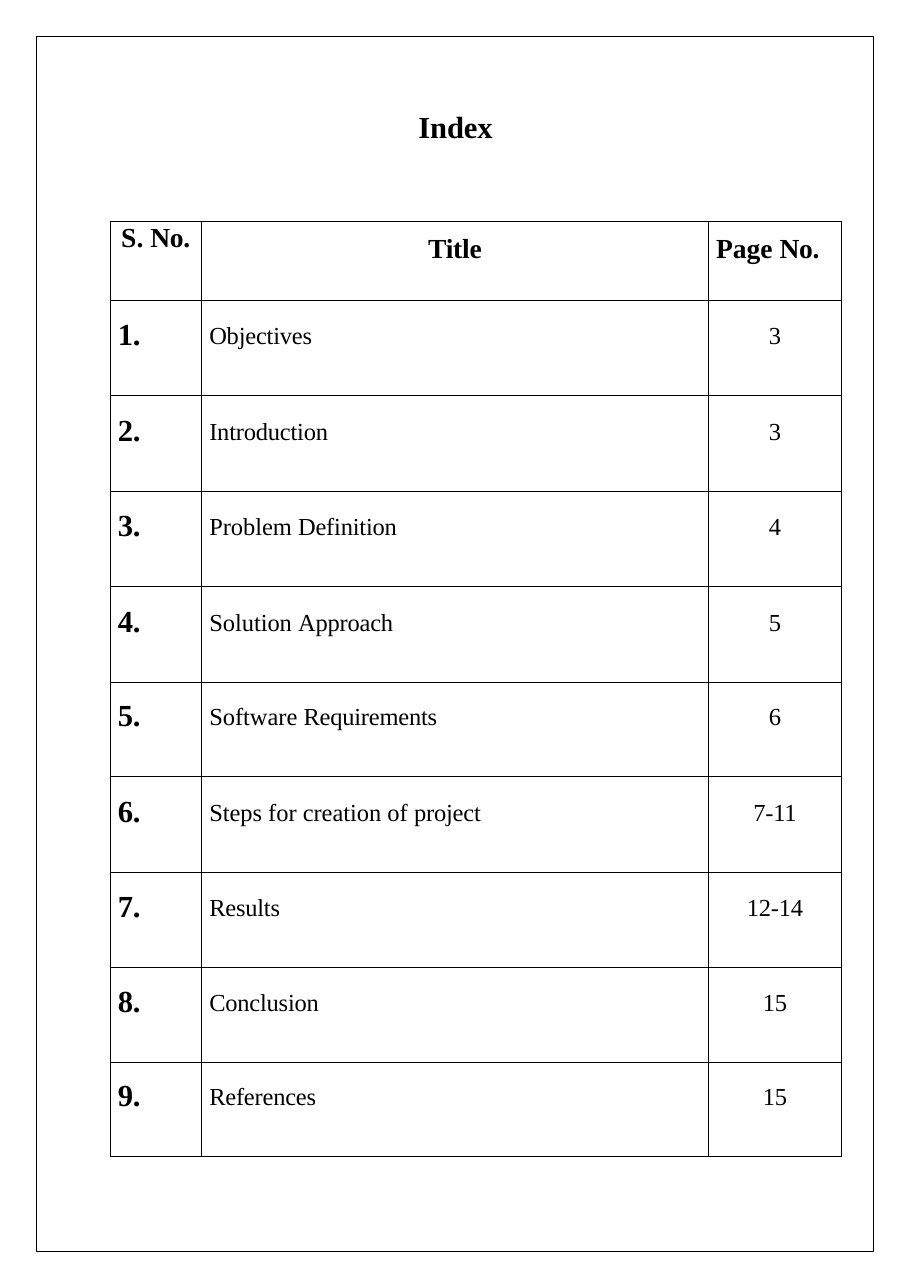
from dataclasses import dataclass

from lxml import etree
from pptx import Presentation
from pptx.dml.color import RGBColor
from pptx.enum.shapes import MSO_SHAPE
from pptx.enum.text import MSO_ANCHOR, MSO_AUTO_SIZE, PP_ALIGN
from pptx.oxml.ns import qn
from pptx.util import Inches, Pt

LEFT, CENTER = PP_ALIGN.LEFT, PP_ALIGN.CENTER
TOP = MSO_ANCHOR.TOP
RECTANGLE = MSO_SHAPE.RECTANGLE
NO_AUTOFIT = MSO_AUTO_SIZE.NONE

FONT = "Times New Roman"
INK = "000000"
LINE_WIDTH = Pt(0.5)
COLUMN_WIDTHS = (0.83, 4.6, 1.21)
HEADER_HEIGHT = 0.72
INDENT = 0.07


@dataclass
class Entry:
    title: str
    pages: str
    height: float = 0.86


ENTRIES = [
    Entry("Objectives", "3"),
    Entry("Introduction", "3", 0.87),
    Entry("Problem Definition", "4"),
    Entry("Solution Approach", "5", 0.87),
    Entry("Software Requirements", "6"),
    Entry("Steps for creation of project", "7-11", 0.87),
    Entry("Results", "12-14"),
    Entry("Conclusion", "15"),
    Entry("References", "15"),
]


def colour(value: str) -> RGBColor:
    return RGBColor.from_string(value)


def write(frame, text: str, *, size: float, bold: bool = False,
          align=LEFT, spacing: float = -0.1, line_height=None) -> None:
    """Write one paragraph whose last word is set with tighter letter spacing."""
    para = frame.paragraphs[0]
    para.alignment = align
    if line_height:
        para.line_spacing = Pt(line_height)
    lead, gap, last = text.rpartition(" ")
    for words, points in ((lead + gap, 0), (last, spacing)):
        if not words:
            continue
        span = para.add_run()
        span.text = words
        span.font.name = FONT
        span.font.size = Pt(size)
        span.font.bold = bold
        span.font.color.rgb = colour(INK)
        span.font._element.set("spc", str(round(points * 100)))


def add_borders(cell) -> None:
    properties = cell._tc.get_or_add_tcPr()
    for side in ("lnL", "lnR", "lnT", "lnB"):
        line = etree.SubElement(properties, qn(f"a:{side}"), w=str(LINE_WIDTH))
        fill = etree.SubElement(line, qn("a:solidFill"))
        etree.SubElement(fill, qn("a:srgbClr"), val=INK)


def fill_cell(cell, text: str, *, left: float = 0, top: float = 0, **style) -> None:
    add_borders(cell)
    cell.fill.background()
    cell.vertical_anchor = TOP
    cell.margin_left, cell.margin_top = Inches(left), Inches(top)
    cell.margin_right = cell.margin_bottom = 0
    write(cell.text_frame, text, **style)


def add_heading(page) -> None:
    heading = page.shapes.title
    heading.left, heading.top = Inches(3.78), Inches(0.97)
    heading.width, heading.height = Inches(0.71), Inches(0.36)
    frame = heading.text_frame
    frame.auto_size = NO_AUTOFIT
    frame.word_wrap = True
    frame.vertical_anchor = TOP
    frame.margin_left = frame.margin_right = frame.margin_bottom = 0
    frame.margin_top = Inches(0.01)
    write(frame, "Index", size=20, bold=True, align=CENTER)


def add_index(page) -> None:
    heights = [HEADER_HEIGHT] + [entry.height for entry in ENTRIES]
    table = page.shapes.add_table(
        len(heights), len(COLUMN_WIDTHS), Inches(1), Inches(2.01),
        Inches(sum(COLUMN_WIDTHS)), Inches(sum(heights))).table
    table.horz_banding = False
    for column, width in zip(table.columns, COLUMN_WIDTHS):
        column.width = Inches(width)
    for row, height in zip(table.rows, heights):
        row.height = Inches(height)

    header = {"size": 18, "bold": True}
    fill_cell(table.cell(0, 0), "S. No.", left=0.1, spacing=-0.2,
              line_height=20.8, **header)
    fill_cell(table.cell(0, 1), "Title", top=0.11, align=CENTER, **header)
    fill_cell(table.cell(0, 2), "Page No.", left=INDENT, top=0.11,
              spacing=-0.2, **header)

    for number, entry in enumerate(ENTRIES, start=1):
        top = entry.height - 0.7
        fill_cell(table.cell(number, 0), f"{number}.", left=INDENT, top=top,
                  size=20, bold=True, spacing=-0.2)
        fill_cell(table.cell(number, 1), entry.title, left=INDENT,
                  top=top + 0.04, size=16)
        fill_cell(table.cell(number, 2), entry.pages, top=top + 0.04,
                  size=16, align=CENTER)


def add_page_border(page) -> None:
    border = page.shapes.add_shape(
        RECTANGLE, Inches(0.33), Inches(0.33), Inches(7.6), Inches(11.03))
    border.shadow.inherit = False
    border.fill.background()
    border.line.color.rgb = colour(INK)
    border.line.width = LINE_WIDTH


def main() -> None:
    deck = Presentation()
    deck.slide_width, deck.slide_height = Inches(8.26), Inches(11.69)
    page = deck.slides.add_slide(deck.slide_layouts.get_by_name("Title Only"))
    add_heading(page)
    add_index(page)
    add_page_border(page)
    deck.save("out.pptx")


if __name__ == "__main__":
    main()
